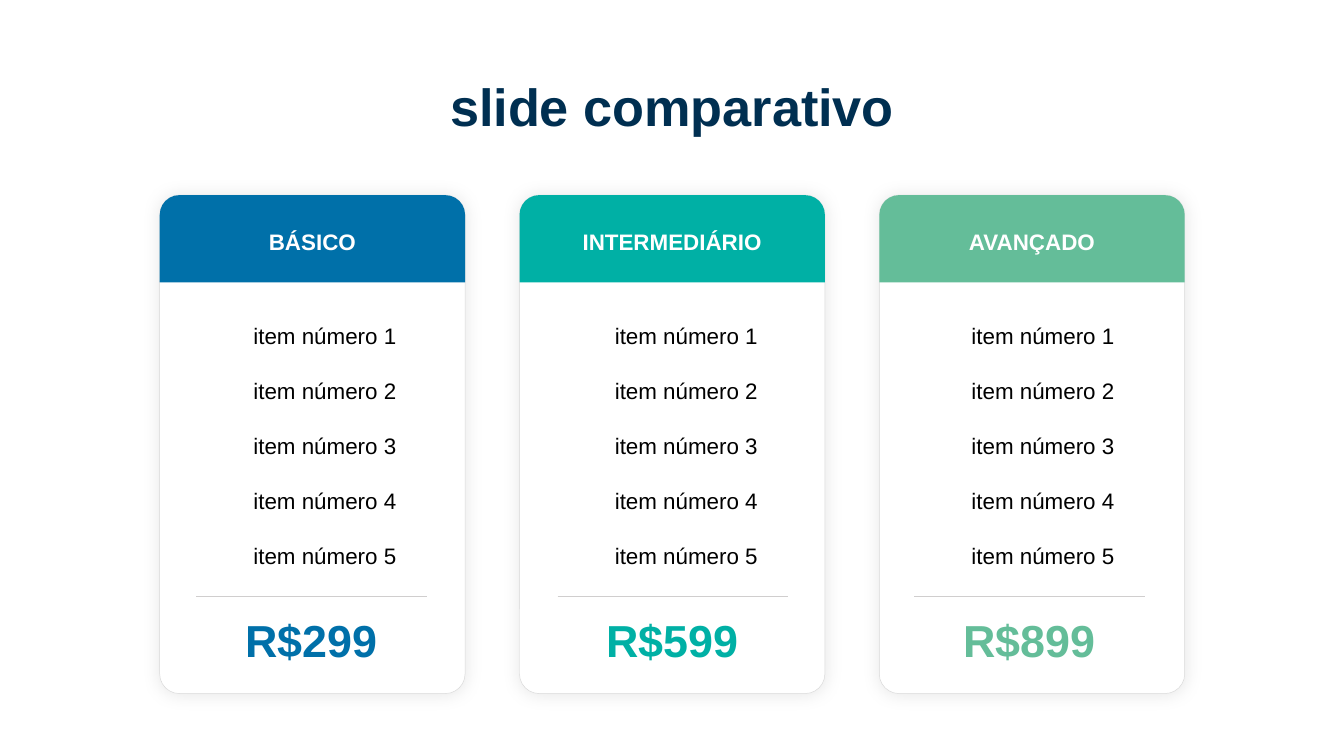
"""Build a pricing comparison slide with three plan cards."""
from lxml.etree import SubElement
from pptx import Presentation
from pptx.dml.color import RGBColor
from pptx.enum.shapes import MSO_CONNECTOR, MSO_SHAPE as Shape
from pptx.enum.text import MSO_ANCHOR as Anchor, PP_ALIGN as Align
from pptx.oxml.ns import qn
from pptx.util import Cm, Pt

TITLE = "slide comparativo"
ITEMS = [f"item número {number}" for number in range(1, 6)]
PLANS = [
    {"name": "BÁSICO", "price": "R$299", "color": "basic", "content_left": 3.71},
    {"name": "INTERMEDIÁRIO", "price": "R$599", "color": "medium", "content_left": 10.54},
    {"name": "AVANÇADO", "price": "R$899", "color": "advanced", "content_left": 17.28},
]
COLORS = {
    "title": "002F51", "basic": "0070A9", "medium": "00B0A5", "advanced": "64BD99",
    "white": "FFFFFF", "text": "000000", "border": "D9D9D9", "divider": "D0CECE",
}
FONT = "Arial"
CARD_LEFT, CARD_TOP, CARD_WIDTH, CARD_HEIGHT = 3.02, 3.69, 5.77, 9.42
CARD_PITCH, HEADER_HEIGHT, CORNER = 6.8, 1.65, 0.37
DIVIDER_TOP, DIVIDER_WIDTH = 11.28, 4.36


def rgb(color):
    return RGBColor.from_string(COLORS[color])


def write(frame, lines, size, color, bold=False, align=Align.CENTER, gap=0):
    for index, line in enumerate(lines):
        paragraph = frame.paragraphs[0] if index == 0 else frame.add_paragraph()
        paragraph.text = line
        paragraph.alignment = align
        if index and gap:
            paragraph.space_before = Pt(gap)
        font = paragraph.font
        font.name, font.size, font.bold = FONT, Pt(size), bold
        font.color.rgb = rgb(color)


def add_text(slide, box, lines, size, color, wrap=False, **style):
    frame = slide.shapes.add_textbox(*map(Cm, box)).text_frame
    frame.word_wrap = wrap
    write(frame, lines, size, color, **style)
    return frame


def add_panel(slide, kind, left, height, color):
    panel = slide.shapes.add_shape(
        kind, Cm(left), Cm(CARD_TOP), Cm(CARD_WIDTH), Cm(height))
    panel.adjustments[0] = CORNER / min(CARD_WIDTH, height)
    panel.shadow.inherit = False
    panel.fill.solid()
    panel.fill.fore_color.rgb = rgb(color)
    return panel


def add_card(slide, left):
    card = add_panel(slide, Shape.ROUNDED_RECTANGLE, left, CARD_HEIGHT, "white")
    card.line.color.rgb = rgb("border")
    card.line.width = Pt(0.25)
    effects = card._element.spPr.find(qn("a:effectLst"))
    glow = SubElement(effects, qn("a:outerShdw"), blurRad=str(Pt(10)), dist="0",
                      dir="0", algn="ctr", rotWithShape="0")
    tint = SubElement(glow, qn("a:srgbClr"), val=COLORS["text"])
    SubElement(tint, qn("a:alpha"), val="10000")


def add_header(slide, left, plan):
    header = add_panel(slide, Shape.ROUND_2_SAME_RECTANGLE, left, HEADER_HEIGHT, plan["color"])
    header.line.fill.background()
    header.text_frame.vertical_anchor = Anchor.MIDDLE
    write(header.text_frame, [plan["name"]], 12, "white", bold=True)


def add_divider(slide, left):
    divider = slide.shapes.add_connector(
        MSO_CONNECTOR.STRAIGHT, Cm(left), Cm(DIVIDER_TOP),
        Cm(left + DIVIDER_WIDTH), Cm(DIVIDER_TOP))
    divider.line.color.rgb = rgb("divider")
    divider.line.width = Pt(0.5)
    SubElement(divider._element.spPr, qn("a:effectLst"))


def main():
    deck = Presentation()
    deck.slide_width, deck.slide_height = Cm(25.4), Cm(14.29)
    slide = deck.slides.add_slide(deck.slide_layouts[6])

    title = add_text(slide, (1.75, 1.42, 21.9, 1.19), [TITLE], 28, "title", wrap=True, bold=True)
    title.paragraphs[0].line_spacing = 0.9

    for column, plan in enumerate(PLANS):
        left = CARD_LEFT + column * CARD_PITCH
        inner = plan["content_left"]
        add_card(slide, left)
        add_header(slide, left, plan)
        add_text(slide, (inner + 0.83, 5.97, 3.28, 4.88), ITEMS, 12, "text",
                 align=Align.LEFT, gap=15)
        add_divider(slide, inner)
        add_text(slide, (inner + 0.66, 11.46, 3.02, 1.27), [plan["price"]], 24,
                 plan["color"], bold=True)

    deck.save("out.pptx")


if __name__ == "__main__":
    main()
